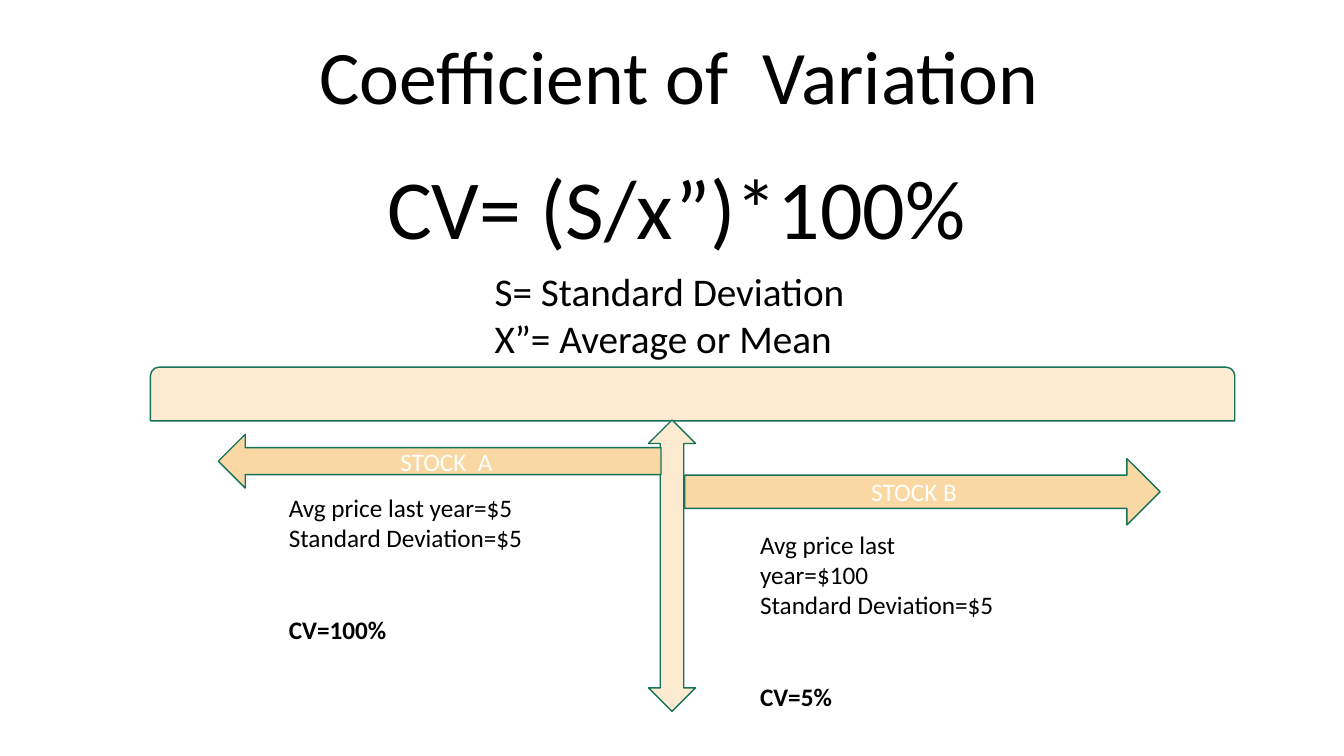
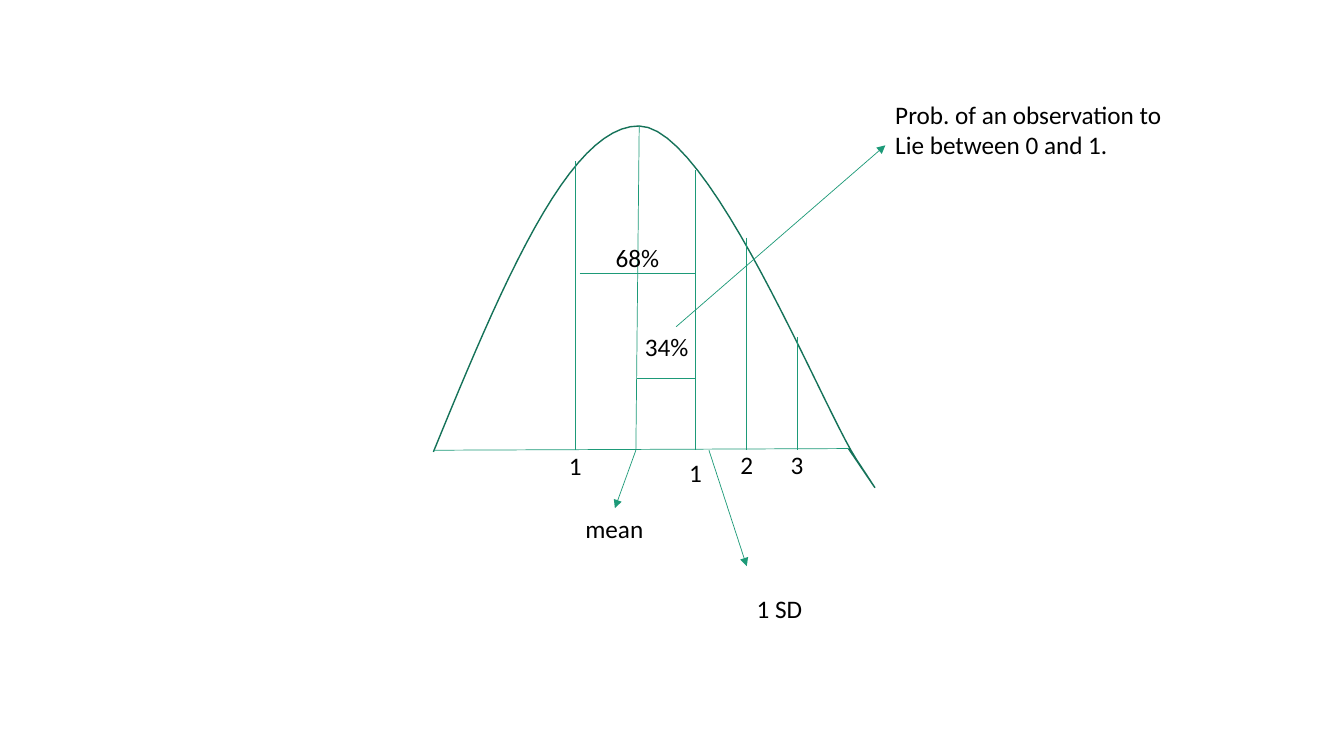
"""Build two slides on the coefficient of variation and the normal curve."""
from dataclasses import dataclass

from lxml import etree
from pptx import Presentation
from pptx.dml.color import RGBColor
from pptx.enum.shapes import MSO_CONNECTOR, MSO_SHAPE
from pptx.enum.text import MSO_ANCHOR, PP_ALIGN
from pptx.oxml.ns import qn
from pptx.util import Inches, Pt

STRAIGHT = MSO_CONNECTOR.STRAIGHT
BEAM = MSO_SHAPE.ROUND_2_SAME_RECTANGLE
POST = MSO_SHAPE.UP_DOWN_ARROW
LEFT_ARROW = MSO_SHAPE.LEFT_ARROW
RIGHT_ARROW = MSO_SHAPE.RIGHT_ARROW
LEFT = PP_ALIGN.LEFT
CENTER = PP_ALIGN.CENTER
MIDDLE = MSO_ANCHOR.MIDDLE

WIDTH, HEIGHT = Inches(13.33), Inches(7.5)
COLUMNS, ROWS = 160, 90
LINE_HEIGHT = 4.8
AXIS_ROW = 53.6
CURVE_STEPS = 24


@dataclass(frozen=True)
class Theme:
    font: str = "Calibri"
    text: RGBColor = RGBColor(0x00, 0x00, 0x00)
    light_text: RGBColor = RGBColor(0xFF, 0xFF, 0xFF)
    pale: RGBColor = RGBColor(0xFC, 0xEB, 0xD1)
    sand: RGBColor = RGBColor(0xF9, 0xD8, 0xA3)
    outline: RGBColor = RGBColor(0x15, 0x72, 0x59)
    rule: RGBColor = RGBColor(0x1D, 0x9A, 0x78)
    title_size: Pt = Pt(54)
    formula_size: Pt = Pt(60)
    legend_size: Pt = Pt(28)
    body_size: Pt = Pt(18)
    result_gap: Pt = Pt(44)
    outline_width: Pt = Pt(1)
    rule_width: Pt = Pt(0.5)


THEME = Theme()


def place(column, row):
    """Turn a grid position or extent into slide lengths."""
    return round(WIDTH * column / COLUMNS), round(HEIGHT * row / ROWS)


def write(text_frame, text, size, color, align):
    """Fill a text frame and format all of its runs."""
    text_frame.text = text
    for paragraph in text_frame.paragraphs:
        paragraph.alignment = align
        for run in paragraph.runs:
            run.font.name = THEME.font
            run.font.size = size
            run.font.color.rgb = color


def add_text(slide, position, extent, text, size=THEME.body_size, align=LEFT):
    """Add an unwrapped text box and return its text frame."""
    box = slide.shapes.add_textbox(*place(*position), *place(*extent))
    box.text_frame.word_wrap = False
    write(box.text_frame, text, size, THEME.text, align)
    return box.text_frame


def outline(shape):
    """Give a shape the shared outline without a shadow."""
    shape.shadow.inherit = False
    shape.line.color.rgb = THEME.outline
    shape.line.width = THEME.outline_width


def add_block(slide, kind, position, extent, fill, text=""):
    """Add a filled preset shape with an optional centred label."""
    shape = slide.shapes.add_shape(kind, *place(*position), *place(*extent))
    outline(shape)
    shape.fill.solid()
    shape.fill.fore_color.rgb = fill
    if text:
        shape.text_frame.vertical_anchor = MIDDLE
        write(shape.text_frame, text, THEME.body_size, THEME.light_text, CENTER)


def add_line(slide, start, end, arrow=False):
    """Add a thin straight line, optionally with an arrowhead at its end."""
    line = slide.shapes.add_connector(STRAIGHT, *place(*start), *place(*end))
    line.line.color.rgb = THEME.rule
    line.line.width = THEME.rule_width
    properties = line._element.spPr
    if arrow:
        etree.SubElement(properties.find(qn("a:ln")), qn("a:tailEnd"), type="triangle")
    etree.SubElement(properties, qn("a:effectLst"))


def bezier_point(controls, share):
    """Find the point at a share of a cubic curve."""
    rest = 1 - share
    weights = (rest**3, 3 * rest**2 * share, 3 * rest * share**2, share**3)
    return tuple(sum(weight * value for weight, value in zip(weights, axis))
                 for axis in zip(*controls))


def add_curve(slide, knots):
    """Draw an open outline through joined cubic curves."""
    points = [place(*bezier_point(knots[first:first + 4], step / CURVE_STEPS))
              for first in range(0, len(knots) - 1, 3)
              for step in range(1, CURVE_STEPS + 1)]
    builder = slide.shapes.build_freeform(*place(*knots[0]))
    builder.add_line_segments(points, close=False)
    curve = builder.convert_to_shape()
    curve.fill.background()
    outline(curve)


def add_stock(slide, kind, position, extent, name, text_column, price, variation):
    """Add a stock arrow with its figures below."""
    add_block(slide, kind, position, extent, THEME.sand, name)
    figures = f"Avg price last year={price}\nStandard Deviation=$5\nCV={variation}"
    frame = add_text(slide, (text_column, position[1] + extent[1] - 0.1), (32, 19.4), figures)
    result = frame.paragraphs[-1]
    result.space_before = THEME.result_gap
    result.runs[0].font.bold = True


def build_variation(slide):
    """Lay out the formula and the comparison of two stocks."""
    add_text(slide, (36.2, 2.9), (89.3, 12.1), "Coefficient of  Variation",
             THEME.title_size, CENTER)
    add_text(slide, (44.9, 17.9), (72, 13.3), "CV= (S/x”)*100%", THEME.formula_size)
    add_text(slide, (57.7, 31.2), (44.5, 12.5),
             "S= Standard Deviation\nX”= Average or Mean", THEME.legend_size)
    add_block(slide, BEAM, (17.9, 43.7), (129.1, 6.4), THEME.pale)
    add_block(slide, POST, (77.2, 50), (5.6, 34.7), THEME.pale)
    add_stock(slide, LEFT_ARROW, (26, 51.7), (52.7, 6.4), "STOCK  A", 33.2, "$5", "100%")
    add_stock(slide, RIGHT_ARROW, (81.5, 54.6), (56.6, 7.9), "STOCK B", 89.3, "$100", "5%")


def build_curve(slide):
    """Lay out the bell curve with its deviations and labels."""
    peak, mean = (76.1, 15), (75.7, AXIS_ROW)
    add_curve(slide, [(51.6, 53.8), (59.6, 34.3), (67.7, 14.9), peak,
                      (84.5, 15.1), (97.8, 48.2), (101.9, 54.6),
                      (106.1, 61), (103.6, 57.2), (101, 53.4)])
    add_line(slide, peak, mean)
    add_line(slide, (51.6, AXIS_ROW), (101, 53.4))
    for column, top, label_row, label in (
            (68.5, 19.2, 53, "1"), (82.8, 20.3, 53.8, "1"),
            (88.9, 28.3, 52.9, "2"), (94.9, 40.1, 52.9, "3")):
        add_line(slide, (column, top), (column, AXIS_ROW))
        add_text(slide, (column - 2, label_row), (4, LINE_HEIGHT), label, align=CENTER)
    for start, end, row in ((75.8, 82.8, 45), (69, 82.8, 32.5)):
        add_line(slide, (start, row), (end, row))
    for start, end in ((mean, (73.2, 60.5)),
                       ((84.4, AXIS_ROW), (88.9, 67.4)),
                       ((80.5, 38.9), (105.4, 17.3))):
        add_line(slide, start, end, arrow=True)
    for column, row, width, text in (
            (75.6, 38.9, 10, "34%"), (72.1, 28.3, 7.7, "68%"),
            (68.5, 60.5, 9.4, "mean"), (88.9, 70, 7.9, "1 SD")):
        add_text(slide, (column, row), (width, LINE_HEIGHT), text)
    add_text(slide, (105.4, 11.2), (34.4, 12.1),
             "Prob. of an observation to\nLie between 0 and 1.")


def main():
    """Create and save the presentation."""
    presentation = Presentation()
    presentation.slide_width, presentation.slide_height = WIDTH, HEIGHT
    blank = presentation.slide_layouts[6]
    for build in (build_variation, build_curve):
        build(presentation.slides.add_slide(blank))
    presentation.save("out.pptx")


if __name__ == "__main__":
    main()
